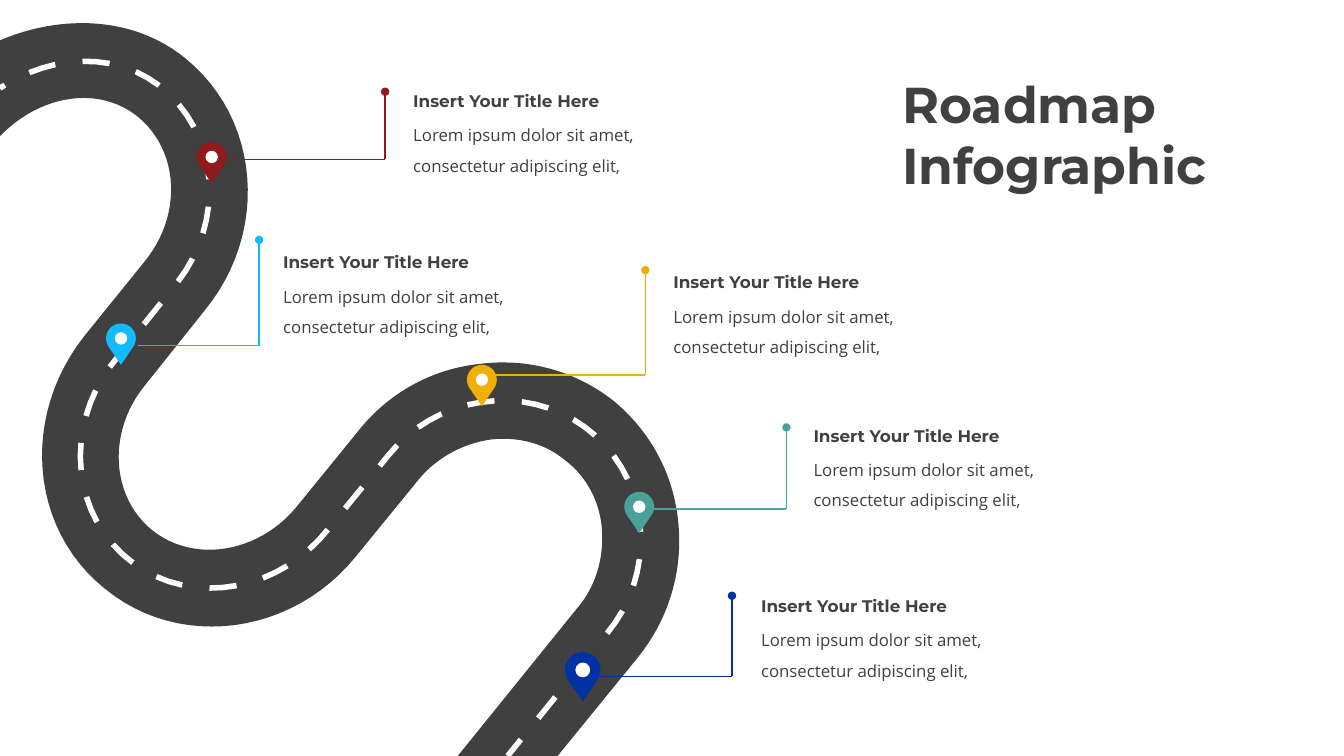
from math import acos, cos, dist, hypot, pi, sin
from itertools import accumulate, pairwise

from lxml.etree import SubElement
from pptx import Presentation
from pptx.dml.color import RGBColor
from pptx.enum.shapes import MSO_CONNECTOR, MSO_SHAPE
from pptx.enum.text import MSO_AUTO_SIZE
from pptx.oxml.ns import qn
from pptx.util import Inches, Pt

THEME = {
    "ink": "404040", "paper": "FFFFFF",
    "head": "Montserrat", "body": "Open Sans",
    "title_pt": 36, "text_pt": 12, "space_pt": 3, "line_pt": 1,
}
TITLE = ("Roadmap Infographic", (8.85, 0.68, 3.43, 1.31))
HEADING = "Insert Your Title Here"
DETAIL = "Lorem ipsum dolor sit amet, consectetur adipiscing elit,"
TEXT_SIZE = (2.92, 1.02)

# colour, pin tip, pin height, line start, post foot, post top y, text corner
STOPS = [
    ("911B1B", (2.1, 1.82), 0.41, 2.25, (3.82, 1.58), 0.91, (4, 0.75)),
    ("14BAFC", (1.2, 3.62), 0.41, 1.37, (2.57, 3.43), 2.38, (2.71, 2.35)),
    ("EFAF05", (4.78, 4.03), 0.41, 4.9, (6.4, 3.72), 2.68, (6.58, 2.55)),
    ("48A299", (6.34, 5.29), 0.41, 6.49, (7.8, 5.05), 4.24, (7.97, 4.07)),
    ("0032A3", (5.78, 6.96), 0.49, 5.94, (7.26, 6.71), 5.91, (7.45, 5.76)),
]

# Both road edges from top left to bottom: a start, then curves (three points)
# or straights (one point), matching step for step.
LEFT_EDGE = [
    [(0, 0.4)],
    [(0.61, 0.14), (1.33, 0.16), (1.84, 0.58)],
    [(2.58, 1.18), (2.67, 2.3), (2.03, 3.08)],
    [(1.44, 3.82)],
    [(1.06, 4.28), (1.1, 4.93), (1.51, 5.26)],
    [(1.92, 5.59), (2.56, 5.49), (2.94, 5.03)],
    [(3.55, 4.28)],
    [(3.85, 3.9), (4.28, 3.66), (4.76, 3.61)],
    [(5.24, 3.55), (5.71, 3.68), (6.09, 3.98)],
    [(6.46, 4.29), (6.69, 4.72), (6.73, 5.21)],
    [(6.77, 5.68), (6.63, 6.15), (6.32, 6.53)],
    [(5.53, 7.5)],
]
RIGHT_EDGE = [
    [(0, 1.35)],
    [(0.41, 0.93), (0.99, 0.85), (1.37, 1.16)],
    [(1.78, 1.5), (1.81, 2.14), (1.43, 2.6)],
    [(0.84, 3.33)],
    [(0.21, 4.12), (0.29, 5.24), (1.04, 5.84)],
    [(1.78, 6.45), (2.9, 6.3), (3.53, 5.52)],
    [(4.15, 4.76)],
    [(4.33, 4.54), (4.59, 4.4), (4.87, 4.36)],
    [(5.14, 4.33), (5.41, 4.4), (5.61, 4.57)],
    [(5.82, 4.73), (5.95, 4.98), (5.97, 5.25)],
    [(5.99, 5.54), (5.91, 5.82), (5.72, 6.04)],
    [(4.54, 7.5)],
]
CURVE_STEPS = 24
DASHES, DASH_LENGTH, DASH_WIDTH = 31, 0.27, 0.055
FIRST_FULL_DASH, LAST_DASH_FROM_END = 0.33, 0.21


def rgb(color):
    return RGBColor.from_string(color)


def trace(edge):
    """Turn an edge's curves and straights into a list of points."""
    points = list(edge[0])
    for step in edge[1:]:
        if len(step) == 1:
            points += step
            continue
        controls = [points[-1], *step]
        for i in range(1, CURVE_STEPS + 1):
            t = i / CURVE_STEPS
            weights = ((1 - t) ** 3, 3 * t * (1 - t) ** 2, 3 * t * t * (1 - t), t ** 3)
            points.append(tuple(sum(w * c[axis] for w, c in zip(weights, controls))
                                for axis in (0, 1)))
    return points


def paint(shape, color):
    shape.shadow.inherit = False
    shape.fill.solid()
    shape.fill.fore_color.rgb = rgb(color)
    shape.line.fill.background()


def add_outline(shapes, contours, color):
    """Draw closed contours as one filled freeform."""
    contours = [[(Inches(x), Inches(y)) for x, y in c] for c in contours]
    builder = shapes.build_freeform(*contours[0][0], scale=1.0)
    for i, (start, *rest) in enumerate(contours):
        if i:
            builder.move_to(*start)
        builder.add_line_segments(rest, close=True)
    paint(builder.convert_to_shape(), color)


def stripe(points, at, start, end):
    """Outline of one dash between two distances along the centre line."""
    def locate(d):
        i = next((i for i in range(1, len(at) - 1) if at[i] >= d), len(at) - 1)
        (x0, y0), (x1, y1) = points[i - 1], points[i]
        span = at[i] - at[i - 1]
        t, k = (d - at[i - 1]) / span, DASH_WIDTH / 2 / span
        x, y = x0 + t * (x1 - x0), y0 + t * (y1 - y0)
        dx, dy = -k * (y1 - y0), k * (x1 - x0)
        return (x + dx, y + dy), (x - dx, y - dy)

    sides = [locate(d) for d in (start, (start + end) / 2, end)]
    return [a for a, _ in sides] + [b for _, b in reversed(sides)]


def add_road(shapes):
    left, right = trace(LEFT_EDGE), trace(RIGHT_EDGE)
    add_outline(shapes, [left + right[::-1]], THEME["ink"])
    centre = [((a + c) / 2, (b + d) / 2) for (a, b), (c, d) in zip(left, right)]
    at = [0, *accumulate(dist(p, q) for p, q in pairwise(centre))]
    pitch = (at[-1] - LAST_DASH_FROM_END - FIRST_FULL_DASH) / (DASHES - 2)
    starts = [FIRST_FULL_DASH + (i - 1) * pitch for i in range(DASHES)]
    dashes = [stripe(centre, at, max(d, 0), min(d + DASH_LENGTH, at[-1])) for d in starts]
    add_outline(shapes, dashes, THEME["paper"])


def add_pin(shapes, tip, height, color):
    x, y = tip
    radius, hole = 0.36 * height, 0.3 * height
    cy = y - height + radius
    touch = acos(radius / (y - cy))
    turns = [touch + i / 36 * 2 * (pi - touch) for i in range(37)]
    arc = [(x + radius * sin(a), cy + radius * cos(a)) for a in turns]
    pin = shapes.add_group_shape().shapes
    add_outline(pin, [[tip, *arc]], color)
    paint(pin.add_shape(MSO_SHAPE.OVAL, Inches(x - hole / 2), Inches(cy - hole / 2),
                        Inches(hole), Inches(hole)), THEME["paper"])


def add_line(shapes, start, end, color, dot=False):
    c = shapes.add_connector(MSO_CONNECTOR.STRAIGHT, *map(Inches, start + end))
    c.line.color.rgb = rgb(color)
    c.line.width = Pt(THEME["line_pt"])
    spPr = c.element.spPr
    if dot:
        SubElement(spPr.find(qn("a:ln")), qn("a:tailEnd"), type="oval")
    SubElement(spPr, qn("a:effectLst"))


def add_text(shapes, box, lines, size):
    """Each line is text, font name, bold."""
    tf = shapes.add_textbox(*map(Inches, box)).text_frame
    tf.word_wrap = True
    tf.auto_size = MSO_AUTO_SIZE.SHAPE_TO_FIT_TEXT
    for i, (text, font, bold) in enumerate(lines):
        p = tf.add_paragraph() if i else tf.paragraphs[0]
        p.text = text
        p.font.name, p.font.bold, p.font.size = font, bold, Pt(size)
        p.font.color.rgb = rgb(THEME["ink"])
    return tf


def main():
    prs = Presentation()
    prs.slide_width, prs.slide_height = Inches(13.33), Inches(7.5)
    shapes = prs.slides.add_slide(prs.slide_layouts[6]).shapes
    add_road(shapes)
    title, title_box = TITLE
    add_text(shapes, title_box, [(title, THEME["head"], True)], THEME["title_pt"])
    for color, tip, height, line_x, foot, top, corner in STOPS:
        add_pin(shapes, tip, height, color)
        add_line(shapes, (line_x, foot[1]), foot, color)
        add_line(shapes, foot, (foot[0], top), color, dot=True)
        lines = [(HEADING, THEME["head"], True), (DETAIL, THEME["body"], False)]
        tf = add_text(shapes, corner + TEXT_SIZE, lines, THEME["text_pt"])
        for p in tf.paragraphs:
            p.line_spacing, p.space_before = 1.5, Pt(THEME["space_pt"])
    prs.save("out.pptx")


if __name__ == "__main__":
    main()
